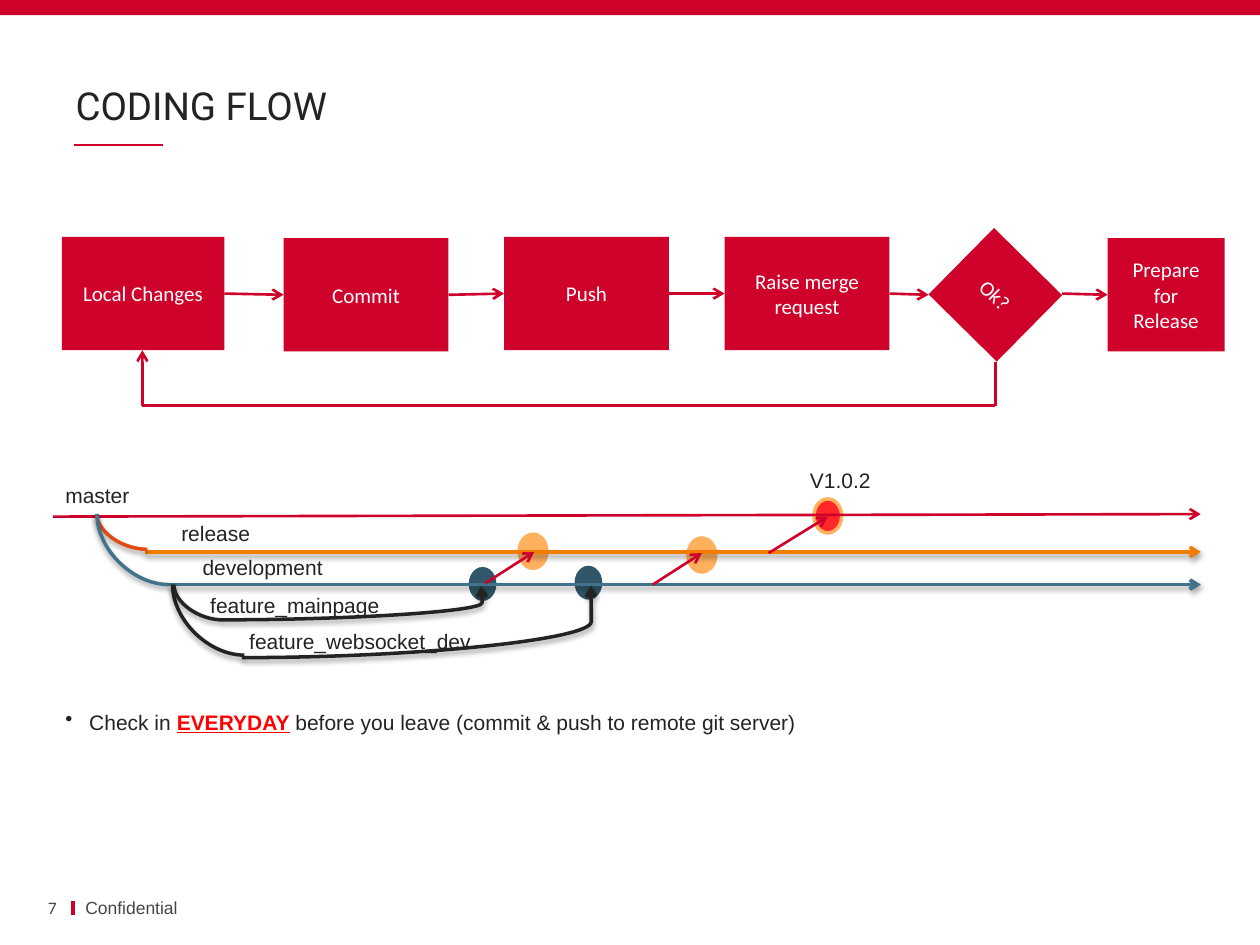
from lxml.etree import SubElement
from pptx import Presentation
from pptx.dml.color import RGBColor
from pptx.enum.shapes import MSO_CONNECTOR, MSO_SHAPE
from pptx.enum.text import MSO_ANCHOR, MSO_AUTO_SIZE, PP_ALIGN
from pptx.oxml.ns import qn
from pptx.util import Inches, Pt

COLORS = {
    "red": "CF022B", "ink": "232323", "grey": "464646", "white": "FFFFFF",
    "alert": "FF0000", "tag": "FF2727", "peach": "FFB15D", "slate": "315669",
    "rust": "E14B0F", "orange": "F07D00", "blue": "41738C", "black": "000000",
}
COLUMNS, ROWS = 100, 75


def color(name):
    return RGBColor.from_string(COLORS[name])


class FlowPage:
    """Draws on one slide; positions are (column, row) on a 100 x 75 grid."""

    def __init__(self, deck):
        self.page = deck.slides.add_slide(deck.slide_layouts[6])
        self.shapes = self.page.shapes
        self.column = deck.slide_width / COLUMNS
        self.row = deck.slide_height / ROWS

    def place(self, x, y):
        return round(x * self.column), round(y * self.row)

    def style(self, para, size, font, ink):
        para.font.size, para.font.name = Pt(size), font
        para.font.color.rgb = color(ink)

    def shape(self, kind, x, y, width, height, fill, outline=None):
        item = self.shapes.add_shape(kind, *self.place(x, y), *self.place(width, height))
        item.shadow.inherit = False
        item.fill.solid()
        item.fill.fore_color.rgb = color(fill)
        if outline:
            item.line.color.rgb = color(outline)
            item.line.width = Pt(2)
        else:
            item.line.fill.background()
        return item

    def step(self, words, x, y, width, height, turn=0):
        item = self.shape(MSO_SHAPE.RECTANGLE, x, y, width, height, "red")
        item.rotation = turn
        frame = item.text_frame
        frame.word_wrap, frame.vertical_anchor = True, MSO_ANCHOR.MIDDLE
        para = frame.paragraphs[0]
        para.text, para.alignment = words, PP_ALIGN.CENTER
        self.style(para, 12, "Calibri", "white")

    def commit(self, x, y, fill, outline=None):
        self.shape(MSO_SHAPE.OVAL, x, y, 2.2, 2.7, fill, outline)

    def text(self, words, x, y, width, height, size=12, font="Arial", ink="ink",
             wrap=True, anchor=MSO_ANCHOR.TOP, inset=0.1, align=PP_ALIGN.LEFT):
        box = self.shapes.add_textbox(*self.place(x, y), *self.place(width, height))
        frame = box.text_frame
        frame.word_wrap, frame.vertical_anchor = wrap, anchor
        frame.margin_left = frame.margin_right = Inches(inset)
        para = frame.paragraphs[0]
        para.text, para.alignment = words, align
        self.style(para, size, font, ink)
        return para

    def label(self, words, x, y, width):
        self.text(words, x, y, width, 3, wrap=False)

    def bullet(self, pieces, x, y, width):
        """Write (words, emphasised) pieces as one bulleted line."""
        para = self.text("", x, y, width, 3)
        para._parent.auto_size = MSO_AUTO_SIZE.SHAPE_TO_FIT_TEXT
        for words, emphasised in pieces:
            span = para.add_run()
            span.text = words
            if emphasised:
                span.font.bold = span.font.underline = True
                span.font.color.rgb = color("alert")
        settings = para._p.get_or_add_pPr()
        settings.set("marL", str(Inches(0.19)))
        settings.set("indent", str(Inches(-0.19)))
        mark = settings.makeelement(qn("a:buChar"), {"char": "•"})
        settings.insert(0, mark)

    def line(self, start, end, ink="red", width=1.5, arrow=True, shadow=False,
             kind=MSO_CONNECTOR.STRAIGHT):
        item = self.shapes.add_connector(kind, *self.place(*start), *self.place(*end))
        item.line.color.rgb = color(ink)
        item.line.width = Pt(width)
        if arrow:
            SubElement(item.line._get_or_add_ln(), qn("a:tailEnd"), type="arrow")
        effects = SubElement(item._element.spPr, qn("a:effectLst"))
        if shadow:
            cast = SubElement(effects, qn("a:outerShdw"), blurRad="40000", dist="20000",
                              dir="5400000", rotWithShape="0")
            tint = SubElement(cast, qn("a:srgbClr"), val=COLORS["black"])
            SubElement(tint, qn("a:alpha"), val="38000")
        return item

    def branch(self, start, end, ink):
        """Curve that leaves downwards and arrives to the right."""
        item = self.line(start, end, ink, 2, False, True, MSO_CONNECTOR.CURVE)
        across, down = end[0] - start[0], end[1] - start[1]
        middle_x, middle_y = start[0] + across / 2, start[1] + down / 2
        item.left, item.top = self.place(middle_x - down / 2, middle_y - across / 2)
        item.width, item.height = self.place(down, across)
        self.reshape(item, "curvedConnector2", 270, flipH="1")

    def merge(self, start, end, bend):
        """Curve that runs to the right and rises into a commit."""
        item = self.line(start, end, "ink", 2, True, True, MSO_CONNECTOR.CURVE)
        geometry = item._element.spPr.find(qn("a:prstGeom"))
        guides = geometry.find(qn("a:avLst"))
        if guides is None:
            guides = SubElement(geometry, qn("a:avLst"))
        SubElement(guides, qn("a:gd"), name="adj1", fmla=f"val {bend}")

    def loop_back(self, start, end):
        item = self.line(start, end, kind=MSO_CONNECTOR.ELBOW)
        self.reshape(item, "bentConnector2", 180)

    def reshape(self, item, preset, turn, **flips):
        properties = item._element.spPr
        properties.find(qn("a:prstGeom")).set("prst", preset)
        frame = properties.find(qn("a:xfrm"))
        frame.attrib.clear()
        frame.set("rot", str(turn * 60000))
        for name, value in flips.items():
            frame.set(name, value)


def draw_frame(page):
    page.line((5.8, 71.5), (5.8, 72.6), width=2.25, arrow=False)
    page.line((5.9, 11.5), (12.9, 11.5), width=1, arrow=False)
    page.shape(MSO_SHAPE.RECTANGLE, 0, 0, COLUMNS, 1.2, "red")
    title = page.text("CODING FLOW", 6, 2.1, 88, 8.6, 22, "Roboto",
                      anchor=MSO_ANCHOR.BOTTOM, inset=0)
    title.line_spacing = 0.9
    page.text("Confidential", 5.8, 71.1, 49.7, 1.8, 10, ink="grey",
              anchor=MSO_ANCHOR.MIDDLE)
    page.text("7", 1.3, 71.1, 3.2, 1.8, 10, "Calibri", "grey",
              anchor=MSO_ANCHOR.MIDDLE, inset=0, align=PP_ALIGN.RIGHT)


def draw_process(page):
    for words, x, y, width in (
        ("Local Changes", 4.9, 18.8, 12.9), ("Commit", 22.5, 18.9, 13.1),
        ("Push", 40, 18.8, 13.1), ("Raise merge request", 57.5, 18.8, 13.1),
        ("Prepare for Release", 87.9, 18.9, 9.3),
    ):
        page.step(words, x, y, width, 9)
    page.step("Ok?", 75.2, 19.7, 7.6, 7.4, turn=44.6)
    for left, right, start_y, end_y in (
        (17.8, 22.5, 23.3, 23.4), (35.6, 40, 23.4, 23.3), (53.1, 57.5, 23.3, 23.3),
        (70.6, 73.7, 23.3, 23.4), (84.3, 87.9, 23.3, 23.4),
    ):
        page.line((left, start_y), (right, end_y))
    page.loop_back((79, 32.2), (11.3, 27.8))
    page.line((79, 28.7), (79, 32.2), arrow=False)


def draw_branches(page):
    for x, y, fill, outline in (
        (64.6, 39.6, "tag", "peach"), (54.6, 42.7, "peach", "peach"),
        (41.2, 42.4, "peach", "peach"), (45.6, 44.9, "slate", None),
        (37.2, 45, "slate", None),
    ):
        page.commit(x, y, fill, outline)
    page.line((4.2, 41), (95.3, 40.8))
    for x, y, ink in ((11.5, 43.8, "orange"), (13.4, 46.4, "blue")):
        page.line((x, y), (95.3, y), ink, 2, shadow=True)
    for start, end, ink in (
        ((7.7, 40.8), (11.7, 43.6), "rust"), ((7.7, 40.8), (13.4, 46.4), "blue"),
        ((13.7, 46.4), (19.4, 52), "ink"), ((13.8, 46.4), (17.7, 49.2), "ink"),
    ):
        page.branch(start, end, ink)
    page.merge((17.7, 49.2), (38.2, 46.5), 100300)
    page.merge((19.2, 52.2), (46.9, 46.5), 100100)
    for start, end in (((51.8, 46.4), (55.7, 43.9)), ((61, 43.9), (65.7, 41)),
                       ((38.5, 46.3), (42.4, 43.8))):
        page.line(start, end)
    for words, x, y, width in (
        ("master", 4.2, 37.8, 7.2), ("release", 13.4, 40.8, 7.5),
        ("development", 15.1, 43.5, 11.6), ("feature_mainpage", 15.7, 46.5, 15.5),
        ("feature_websocket_dev", 18.8, 49.4, 19.7), ("V1.0.2", 63.3, 36.6, 6.9),
    ):
        page.label(words, x, y, width)


def main():
    deck = Presentation()
    deck.slide_width, deck.slide_height = Inches(10), Inches(7.5)
    page = FlowPage(deck)
    draw_frame(page)
    draw_process(page)
    draw_branches(page)
    page.bullet((("Check in ", False), ("EVERYDAY", True),
                 (" before you leave (commit & push to remote git server)", False)),
                4.2, 55.8, 90)
    deck.save("out.pptx")


if __name__ == "__main__":
    main()
